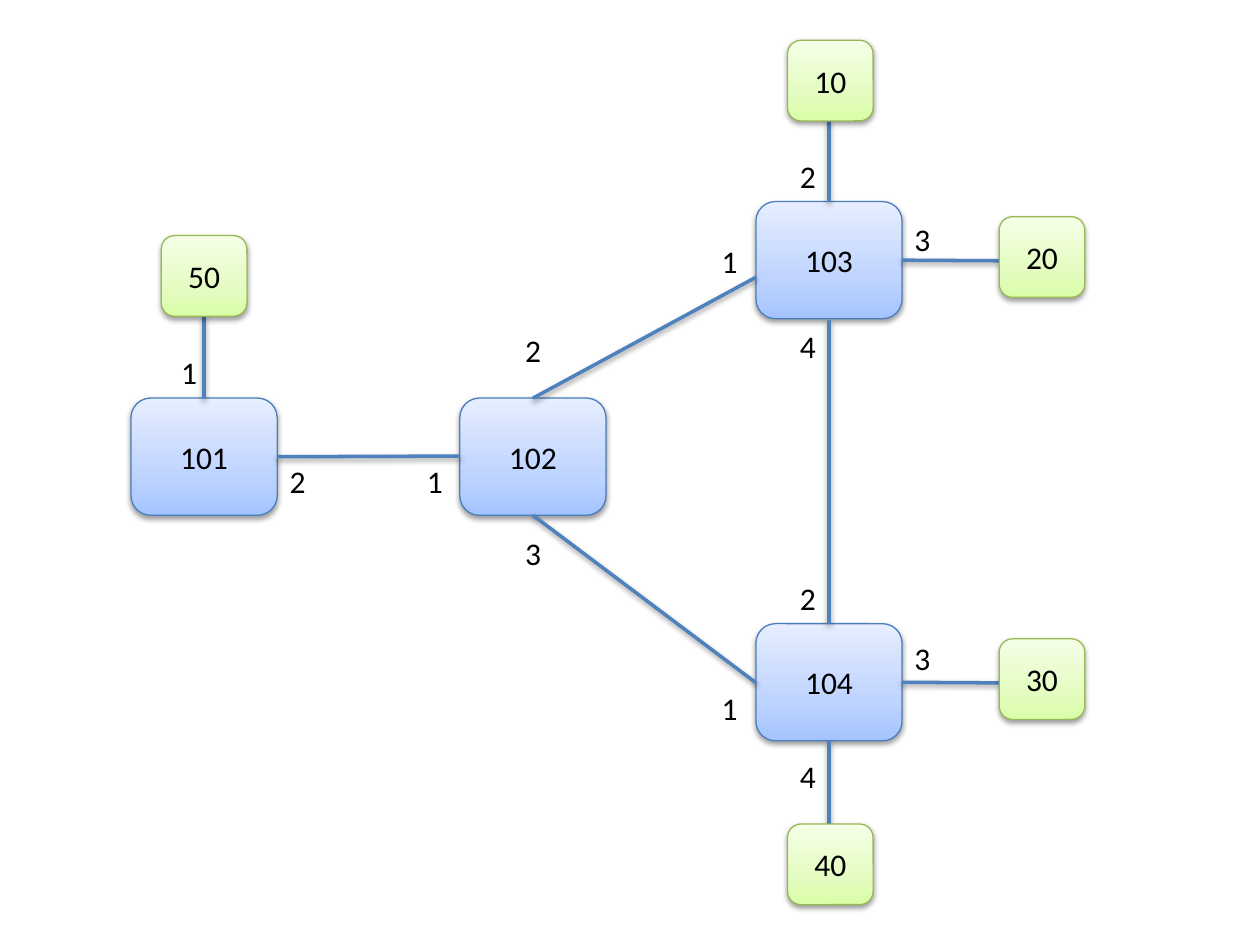
from copy import deepcopy
from dataclasses import dataclass
from lxml import etree
from pptx import Presentation
from pptx.dml.color import RGBColor as RGB
from pptx.enum.shapes import MSO_CONNECTOR as LINK, MSO_SHAPE as SHAPE
from pptx.enum.text import MSO_ANCHOR as ANCHOR, MSO_AUTO_SIZE as AUTO, PP_ALIGN as ALIGN
from pptx.oxml.ns import qn
from pptx.util import Inches, Pt


@dataclass(frozen=True)
class Theme:
    font: str = "Calibri"
    size: int = 18
    ink: str = "000000"
    link: str = "4F81BD"
    thick: float = 2
    thin: float = 0.75
    blue: tuple = ("A4C4FF", "BFD4FF", "E6EEFF")
    rim: str = "4B7EBC"
    green: tuple = ("DAFDA7", "E4FCC2", "F5FFE7")
    edge: str = "98B955"


class Board:
    def __init__(self, slide, theme):
        self.slide = slide
        self.theme = theme

    def shade(self, item):
        props = item._element.spPr
        glow = props.find(qn("a:effectLst"))
        if glow is None:
            glow = etree.SubElement(props, qn("a:effectLst"))
        cast = etree.SubElement(glow, qn("a:outerShdw"), blurRad="40000",
                                dist="20000", dir="5400000", rotWithShape="0")
        tint = etree.SubElement(cast, qn("a:srgbClr"), val=self.theme.ink)
        etree.SubElement(tint, qn("a:alpha"), val="38000")

    def label(self, frame, text, align):
        para = frame.paragraphs[0]
        para.text = text
        para.alignment = align
        para.font.name = self.theme.font
        para.font.size = Pt(self.theme.size)
        para.font.color.rgb = RGB.from_string(self.theme.ink)

    def blend(self, fill, props, tones):
        fill.gradient()
        fill.gradient_angle = 90
        stops = props.find(qn("a:gradFill")).find(qn("a:gsLst"))
        stops.insert(1, deepcopy(stops[0]))
        for stop, tone, place in zip(fill.gradient_stops, tones, (0, 0.35, 1)):
            stop.color.rgb = RGB.from_string(tone)
            stop.position = place

    def node(self, text, x, y, size, tones, rim):
        box = self.slide.shapes.add_shape(
            SHAPE.ROUNDED_RECTANGLE, *map(Inches, (x, y, *size)))
        self.blend(box.fill, box._element.spPr, tones)
        box.line.color.rgb = RGB.from_string(rim)
        box.line.width = Pt(self.theme.thin)
        box.shadow.inherit = False
        self.shade(box)
        box.text_frame.vertical_anchor = ANCHOR.MIDDLE
        self.label(box.text_frame, text, ALIGN.CENTER)
        return box

    def switch(self, text, x, y):
        return self.node(text, x, y, (1.16, 0.93), self.theme.blue, self.theme.rim)

    def host(self, text, x, y):
        return self.node(text, x, y, (0.68, 0.64), self.theme.green, self.theme.edge)

    def link(self, box, side, x, y):
        line = self.slide.shapes.add_connector(
            LINK.STRAIGHT, box.left, box.top, Inches(x), Inches(y))
        line.begin_connect(box, side)
        line.line.color.rgb = RGB.from_string(self.theme.link)
        line.line.width = Pt(self.theme.thick)
        self.shade(line)

    def port(self, text, x, y):
        box = self.slide.shapes.add_textbox(*map(Inches, (x, y, 0.33, 0.4)))
        box.text_frame.word_wrap = False
        box.text_frame.auto_size = AUTO.SHAPE_TO_FIT_TEXT
        self.label(box.text_frame, text, ALIGN.LEFT)


TOP, LEFT, BASE, RIGHT = range(4)
SWITCHES = {"101": (1.04, 3.16), "102": (3.65, 3.16), "103": (6, 1.6), "104": (6, 4.95)}
LINKS = [
    ("101", RIGHT, 3.65, 3.62), ("102", TOP, 6, 2.2), ("102", BASE, 6, 5.42),
    ("104", TOP, 6.58, 2.54), ("103", RIGHT, 7.93, 2.07), ("104", BASE, 6.58, 6.54),
    ("103", TOP, 6.58, 0.95), ("104", RIGHT, 7.93, 5.42), ("101", TOP, 1.62, 2.51),
]
PORTS = {
    "1": [(1.34, 2.75), (3.29, 3.62), (5.63, 1.87), (5.63, 5.42)],
    "2": [(2.2, 3.62), (4.07, 2.58), (6.25, 1.2), (6.25, 4.55)],
    "3": [(7.16, 1.7), (7.16, 5.02), (4.07, 4.19)],
    "4": [(6.25, 5.96), (6.25, 2.55)],
}
HOSTS = {"20": (7.93, 1.72), "10": (6.25, 0.32), "30": (7.93, 5.07),
         "40": (6.25, 6.54), "50": (1.28, 1.87)}

deck = Presentation()
deck.slide_width, deck.slide_height = Inches(10), Inches(7.5)
board = Board(deck.slides.add_slide(deck.slide_layouts[6]), Theme())
nodes = {name: board.switch(name, *spot) for name, spot in SWITCHES.items()}
for name, side, x, y in LINKS:
    board.link(nodes[name], side, x, y)
for text, spots in PORTS.items():
    for spot in spots:
        board.port(text, *spot)
for name, spot in HOSTS.items():
    board.host(name, *spot)
deck.save("out.pptx")
